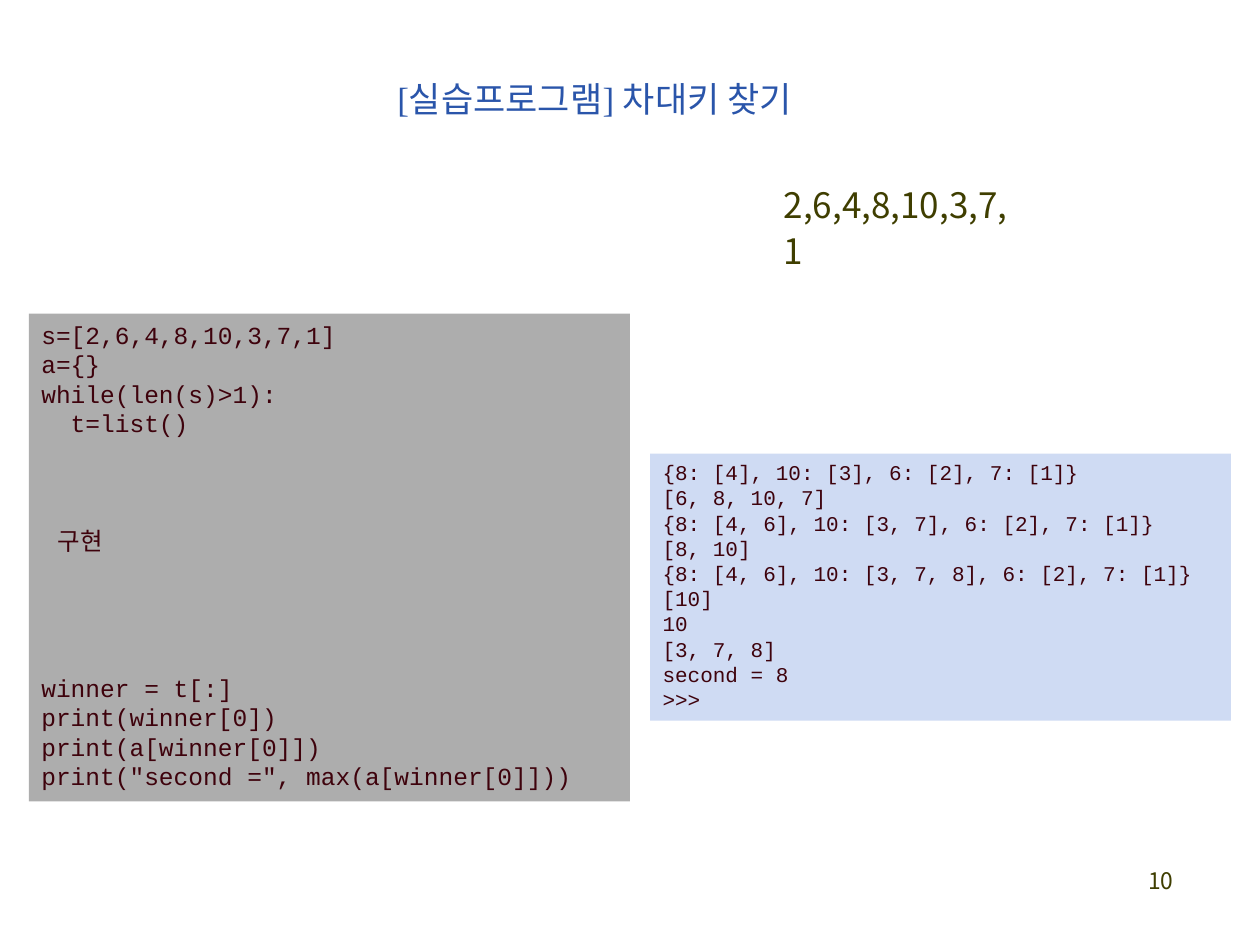
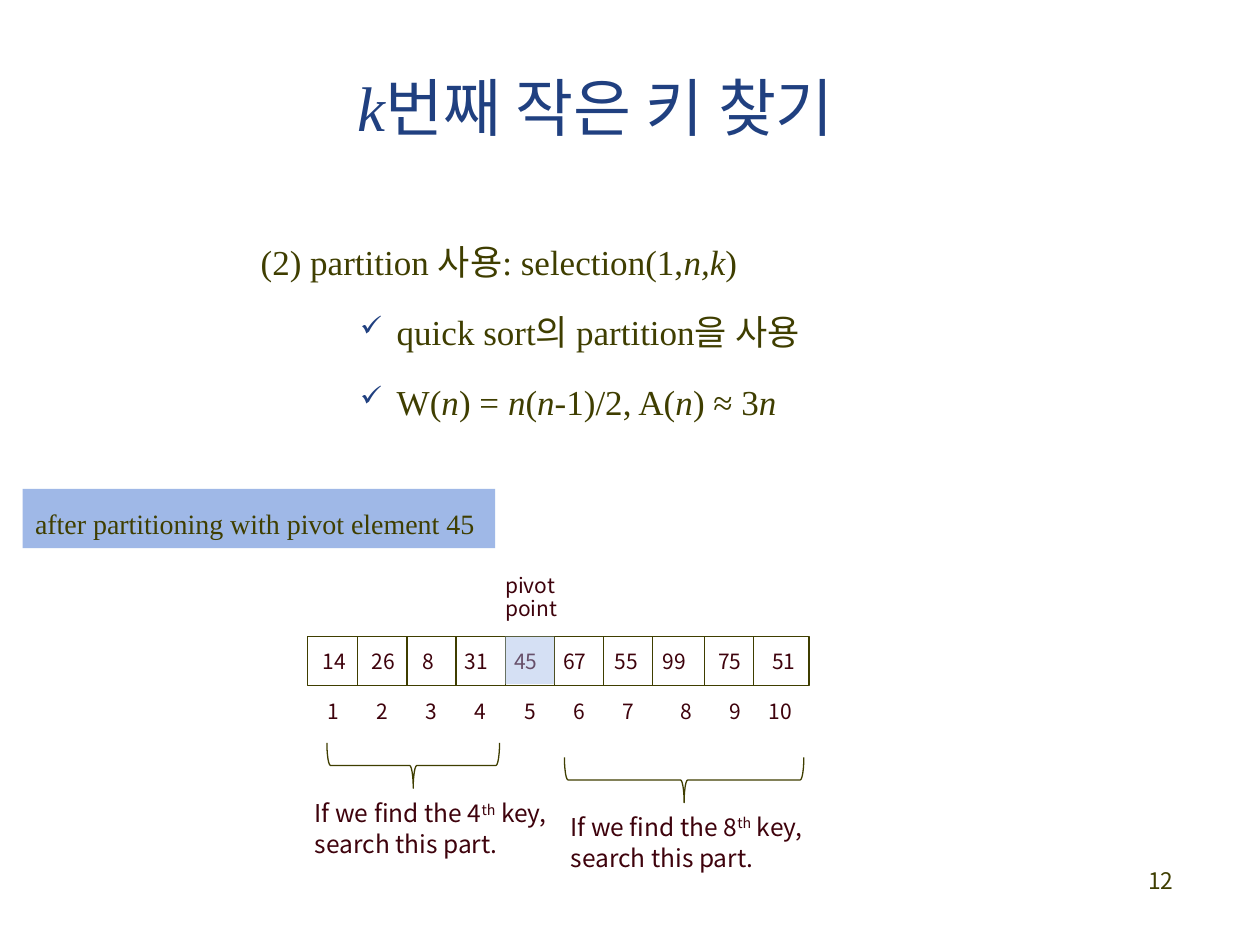
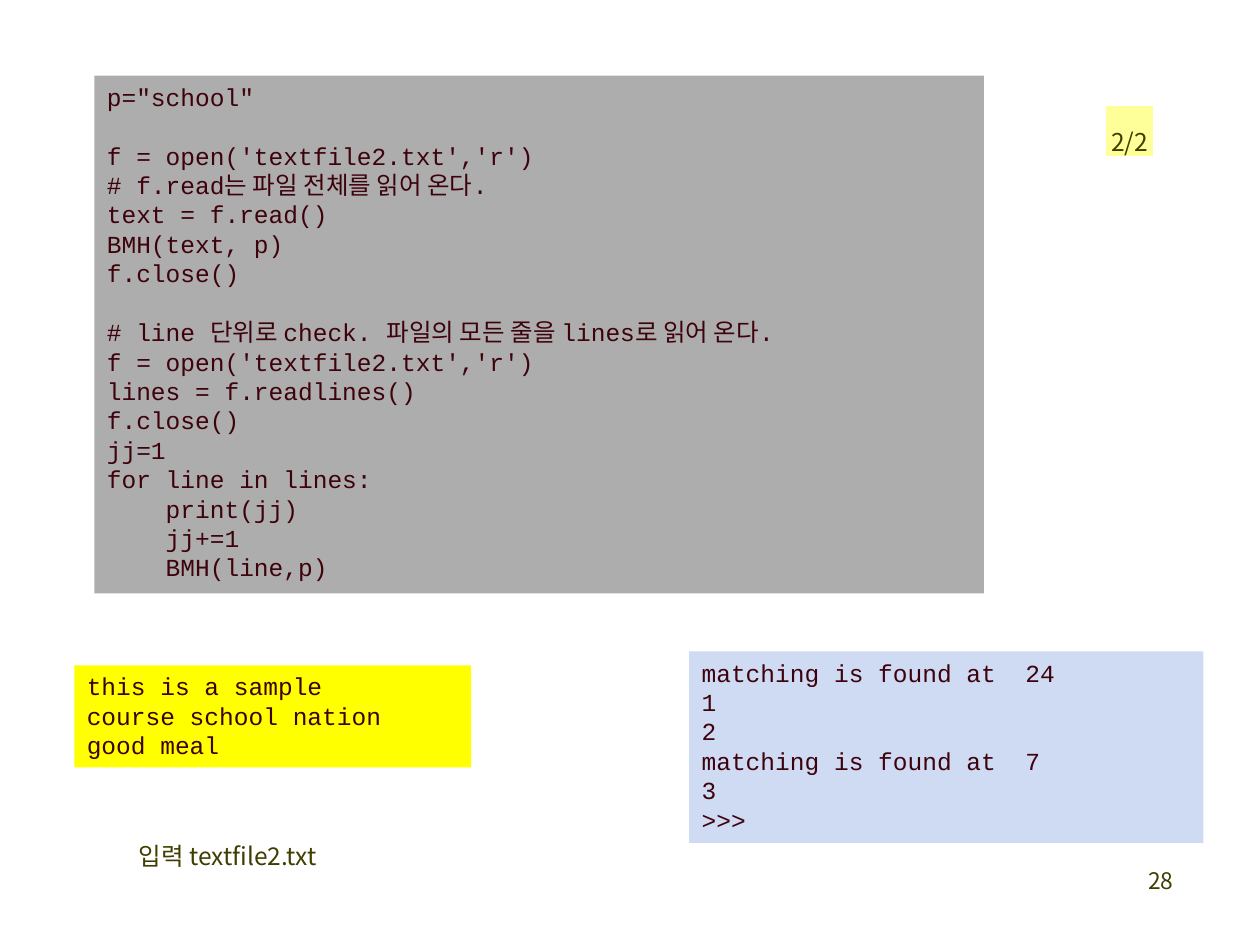
from dataclasses import dataclass

from lxml.etree import SubElement
from pptx import Presentation
from pptx.dml.color import RGBColor
from pptx.enum.shapes import MSO_CONNECTOR, MSO_SHAPE
from pptx.enum.text import MSO_ANCHOR, PP_ALIGN
from pptx.oxml.ns import qn
from pptx.util import Emu, Pt


@dataclass(frozen=True)
class Theme:
    olive: str = "3F3E00"
    maroon: str = "3E020C"
    navy: str = "204080"
    blue: str = "2A55AA"
    code_gray: str = "ADADAD"
    output_blue: str = "CFDBF3"
    accent_blue: str = "9FB8E7"
    yellow: str = "FFFF00"
    pale_yellow: str = "FFFF99"
    sans: str = "Noto Sans CJK KR"
    serif: str = "Times New Roman"
    mono: str = "Courier New"
    title: int = 36
    body: int = 20
    caption: int = 16
    code: int = 14
    number: int = 13
    small: int = 12


theme = Theme()


def px(length):
    """Convert px (100 to the inch) to EMU."""
    return Emu(length * 9144)


def write(slide, place, paragraphs, size, font=theme.sans, color=theme.olive, fill=None,
          align=PP_ALIGN.LEFT, anchor=MSO_ANCHOR.TOP, inset=(10, 5), spacing=None,
          before=0, indents=None, bullets=(), wrap=True):
    """Write paragraphs; each is a string or a list of (text, format) runs.

    An empty string adds one line of space above the next paragraph.
    """
    frame = [px(length) for length in place]
    if fill:
        box = slide.shapes.add_shape(MSO_SHAPE.RECTANGLE, *frame)
        box.shadow.inherit = False
        box.fill.solid()
        box.fill.fore_color.rgb = RGBColor.from_string(fill)
        box.line.fill.background()
    else:
        box = slide.shapes.add_textbox(*frame)
    text = box.text_frame
    text.word_wrap = wrap
    text.vertical_anchor = anchor
    text.margin_left = text.margin_right = px(inset[0])
    text.margin_top = text.margin_bottom = px(inset[1])

    para, gap = None, 0
    for index, content in enumerate(paragraphs):
        if content == "":
            gap += 1
            continue
        para = text.add_paragraph() if para else text.paragraphs[0]
        para.alignment = align
        para.line_spacing = spacing
        para.space_before = Pt(before + gap * (spacing.pt if gap else 0))
        gap = 0
        properties = para._p.get_or_add_pPr()
        if indents and index in indents:
            margin, first = indents[index]
            properties.set("marL", str(px(margin)))
            properties.set("indent", str(px(first)))
        if index in bullets:
            bullet_color = SubElement(properties, qn("a:buClr"))
            SubElement(bullet_color, qn("a:srgbClr"), val=theme.navy)
            SubElement(properties, qn("a:buSzPct"), val="80000")
            SubElement(properties, qn("a:buChar"), char="✓")
        for words, style in [(content, {})] if isinstance(content, str) else content:
            span = para.add_run()
            span.text = words
            span.font.size = Pt(size)
            span.font.name = style.get("font", font)
            span.font.italic = style.get("italic", False)
            span.font.color.rgb = RGBColor.from_string(color)
            run_properties = span._r.get_or_add_rPr()
            SubElement(run_properties, qn("a:ea"), typeface=theme.sans)
            if style.get("superscript"):
                run_properties.set("baseline", "30000")


deck = Presentation()
deck.slide_width, deck.slide_height = px(1000), px(750)

# Shared formats
code_format = dict(size=theme.code, font=theme.mono, color=theme.maroon, spacing=Pt(16.8))
title_format = dict(font=theme.serif, align=PP_ALIGN.CENTER, anchor=MSO_ANCHOR.MIDDLE)
tag_format = dict(inset=(4, 4), spacing=Pt(26))
cell_format = dict(size=theme.small, color=theme.maroon, inset=(0, 0), spacing=0.9, before=2.4)
italic = {"italic": True}
plain = {}

# Slides with page numbers
pages = []
for page_number in ("10", "12", "28"):
    page = deck.slides.add_slide(deck.slide_layouts[6])
    write(page, (733, 683, 208, 50), [page_number], theme.number, align=PP_ALIGN.RIGHT)
    pages.append(page)
tournament_page, selection_page, matching_page = pages

# Second largest key: program, input and output
write(tournament_page, (161, 41, 622, 75), ["[실습프로그램] 차대키 찾기"],
      theme.body, color=theme.blue, **title_format)
write(tournament_page, (618, 139, 190, 44), ["2,6,4,8,10,3,7,1"], theme.body, **tag_format)
write(tournament_page, (23, 249, 477, 387), [
    "s=[2,6,4,8,10,3,7,1]",
    "a={}",
    "while(len(s)>1):",
    "  t=list()",
    "", "", "",
    "구현",
    "", "", "", "",
    "winner = t[:]",
    "print(winner[0])",
    "print(a[winner[0]])",
    'print("second =", max(a[winner[0]]))',
], fill=theme.code_gray, indents={7: (13, 0)}, **code_format)
write(tournament_page, (516, 360, 461, 212), [
    "{8: [4], 10: [3], 6: [2], 7: [1]}",
    "[6, 8, 10, 7]",
    "{8: [4, 6], 10: [3, 7], 6: [2], 7: [1]}",
    "[8, 10]",
    "{8: [4, 6], 10: [3, 7, 8], 6: [2], 7: [1]}",
    "[10]",
    "10",
    "[3, 7, 8]",
    "second = 8",
    ">>>",
], fill=theme.output_blue, **{**code_format, "size": theme.small, "spacing": Pt(14.4)})

# k-th smallest key: title and explanation
write(selection_page, (16, 47, 914, 75), [[
    ("k", italic), ("번째 작은 키 ", {"font": theme.sans}), ("찾기", plain),
]], theme.title, color=theme.navy, **title_format)
write(selection_page, (197, 169, 462, 210), [
    [("(2) partition 사용: selection(1,", plain), ("n,k", italic), (")", plain)],
    "quick sort의 partition을 사용",
    [("W(", plain), ("n", italic), (") = ", plain), ("n", italic), ("(", plain),
     ("n", italic), ("-1)/2, A(", plain), ("n", italic), (") ≈ 3", plain), ("n", italic)],
], theme.body, font=theme.serif, spacing=1.5, before=4,
    indents={1: (108, -29), 2: (108, -29)}, bullets=(1, 2))
write(selection_page, (18, 388, 375, 47), ["after partitioning with pivot element 45"],
      theme.caption, font=theme.serif, fill=theme.accent_blue, spacing=Pt(26), before=3.2)

# Array outline and dividers
array = selection_page.shapes.add_shape(MSO_SHAPE.RECTANGLE, px(244), px(505), px(398), px(39))
array.fill.background()
outlines = [array]
for column in range(9):
    x = 284 + 39 * column + (2 if column >= 7 else 0)
    outlines.append(selection_page.shapes.add_connector(
        MSO_CONNECTOR.STRAIGHT, px(x), px(505), px(x), px(544)))

# Array values and their positions
values = (14, 26, 8, 31, 45, 67, 55, 99, 75, 51)
value_lefts = (256, 295, 335, 369, 408, 447, 488, 526, 570, 613)
for column, (value, left) in enumerate(zip(values, value_lefts)):
    write(selection_page, (left, 517, 27, 28), [str(value)], **cell_format)
    index_left = 610 if column == 9 else 260 + 39 * column + (7 if column >= 7 else 0)
    write(selection_page, (index_left, 557, 27, 28), [str(column + 1)], **cell_format)

# Pivot cell
write(selection_page, (401, 457, 68, 34), ["pivot point"], **cell_format)
pivot = selection_page.shapes.add_shape(MSO_SHAPE.RECTANGLE, px(401), px(505), px(39), px(38))
pivot.shadow.inherit = False
pivot.fill.solid()
pivot.fill.fore_color.rgb = RGBColor.from_string(theme.accent_blue)
pivot.line.fill.background()
pivot_color = pivot._element.spPr.find(qn("a:solidFill"))[0]
SubElement(pivot_color, qn("a:alpha"), val="43000")

# Braces with the part to search
for key, note_place, brace_place in (
    ("4", (240, 631, 216, 57), (310, 539, 36, 137)),
    ("8", (443, 642, 228, 57), (525, 524, 36, 190)),
):
    write(selection_page, note_place, [
        [("If we find the " + key, plain), ("th", {"superscript": True}), (" key,", plain)],
        "search this part.",
    ], theme.code, color=theme.maroon, spacing=0.9, before=2.8)
    brace = selection_page.shapes.add_shape(
        MSO_SHAPE.LEFT_BRACE, *[px(length) for length in brace_place])
    brace.rotation = 270
    brace.adjustments[0] = 0.08
    brace.fill.background()
    outlines.append(brace)

for outline in outlines:
    outline.line.color.rgb = RGBColor.from_string(theme.olive)
    outline.line.width = Pt(0.75)
    SubElement(outline._element.spPr, qn("a:effectLst"))

# String matching: program, output and input file
write(matching_page, (75, 60, 706, 411), [
    'p="school"',
    "",
    "f = open('textfile2.txt','r')",
    "# f.read는 파일 전체를 읽어 온다.",
    "text = f.read()",
    "BMH(text, p)",
    "f.close()",
    "",
    "# line 단위로 check. 파일의 모든 줄을 lines로 읽어 온다.",
    "f = open('textfile2.txt','r')",
    "lines = f.readlines()",
    "f.close()",
    "jj=1",
    "for line in lines:",
    "    print(jj)",
    "    jj+=1",
    "    BMH(line,p)",
], fill=theme.code_gray, **code_format)
write(matching_page, (547, 517, 408, 152), [
    "matching is found at  24",
    "1",
    "2",
    "matching is found at  7",
    "3",
    ">>>",
], fill=theme.output_blue, **code_format)
write(matching_page, (59, 528, 315, 81), [
    "this is a sample",
    "course school nation",
    "good meal",
], fill=theme.yellow, **code_format)
write(matching_page, (106, 651, 152, 40), ["입력 textfile2.txt"], theme.code, **tag_format)
write(matching_page, (878, 84, 37, 40), ["2/2"], theme.code,
      fill=theme.pale_yellow, wrap=False, **tag_format)

deck.save("out.pptx")
